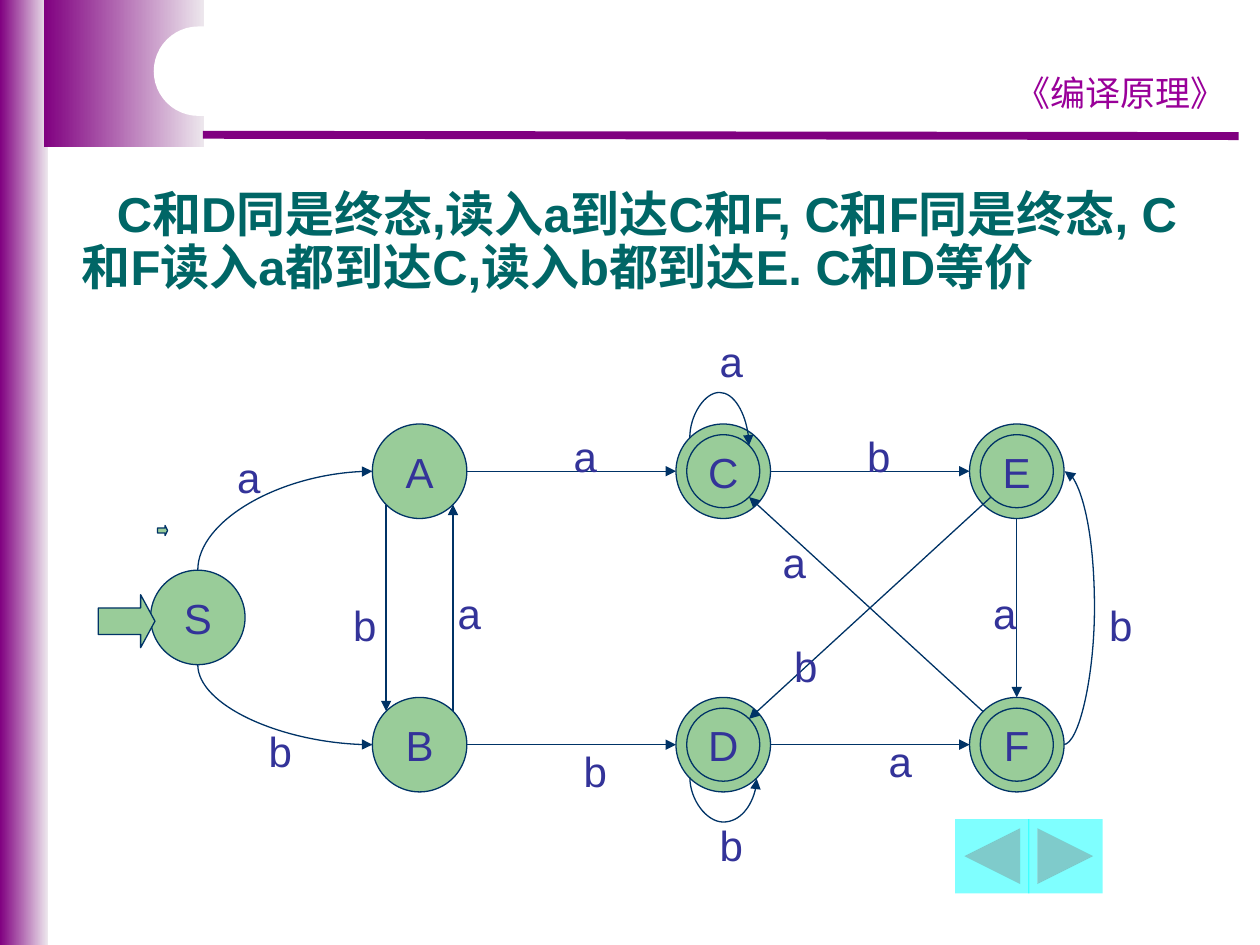
import math
import pptx
import pptx.util
import pptx.dml.color
import pptx.enum.shapes
import pptx.enum.text
import pptx.oxml
import pptx.oxml.ns
from dataclasses import dataclass

Inches, Pt = pptx.util.Inches, pptx.util.Pt
SHAPE = pptx.enum.shapes.MSO_SHAPE
CONNECTOR = pptx.enum.shapes.MSO_CONNECTOR
ALIGN = pptx.enum.text.PP_ALIGN
ANCHOR = pptx.enum.text.MSO_ANCHOR


@dataclass(frozen=True)
class Theme:
    purple: str = "800080"
    pale: str = "EDE7ED"
    white: str = "FFFFFF"
    course: str = "990099"
    title: str = "006666"
    node: str = "99CC99"
    line: str = "003366"
    label: str = "333399"
    button: str = "00FFFF"
    font: str = "Arial"
    course_font: str = "Comic Neue"
    title_size: int = 28
    label_size: int = 24
    course_size: int = 20
    thin: float = 0.75


THEME = Theme()

# Content
COURSE = "《编译原理》"
TITLE = "C和D同是终态,读入a到达C和F, C和F同是终态, C和F读入a都到达C,读入b都到达E. C和D等价"

COLUMNS = (1.57, 3.33, 5.74, 8.07)
ROWS = (3.74, 4.9, 5.91)
OUTER, INNER = 0.75, 0.58
# name: column, row, is final state
NODES = {"S": (0, 1, False), "A": (1, 0, False), "B": (1, 2, False),
         "C": (2, 0, True), "D": (2, 2, True), "E": (3, 0, True), "F": (3, 2, True)}
# Ports: node, compass direction, ring diameter
STRAIGHT_EDGES = [
    (("B", "NE", OUTER), ("A", "SE", OUTER)),
    (("A", "SW", OUTER), ("B", "NW", OUTER)),
    (("A", "E", OUTER), ("C", "W", OUTER)),
    (("B", "E", OUTER), ("D", "W", OUTER)),
    (("D", "E", OUTER), ("F", "W", OUTER)),
    (("C", "E", OUTER), ("E", "W", OUTER)),
    (("E", "S", OUTER), ("F", "N", OUTER)),
    (("F", "NW", INNER), ("C", "SE", INNER)),
    (("E", "SW", INNER), ("D", "NE", INNER)),
]
# start, end, rotation, flip, bulge (0 for a simple quarter curve)
CURVED_EDGES = [
    (("S", "N", OUTER), ("A", "W", OUTER), 270, None, 0),
    (("S", "S", OUTER), ("B", "W", OUTER), 270, "flipH", 0),
    (("F", "E", OUTER), ("E", "E", OUTER), 0, "flipV", 0.25),
    (("C", "NW", OUTER), ("C", "NE", INNER), 90, "flipV", -0.36),
    (("D", "SW", OUTER), ("D", "SE", OUTER), 270, "flipH", 0.36),
]
LABEL_SIZE = (0.39, 0.51)
LABELS = {
    "a": [(5.61, 2.61), (1.78, 3.53), (3.53, 4.61), (4.45, 3.36),
          (7.78, 4.61), (6.95, 5.78), (6.11, 4.2)],
    "b": [(8.7, 4.7), (2.03, 5.7), (2.7, 4.7), (4.53, 5.86),
          (6.78, 3.36), (5.61, 6.45), (6.2, 5.03)],
}
ARROWS = [(1.25, 4.17, 0.08, 0.08, 0.25), (0.78, 4.72, 0.45, 0.42, 0.27)]
BUTTONS = [SHAPE.ACTION_BUTTON_BACK_OR_PREVIOUS, SHAPE.ACTION_BUTTON_FORWARD_OR_NEXT]

presentation = pptx.Presentation()
presentation.slide_width, presentation.slide_height = Inches(10), Inches(7.5)
slide = presentation.slides.add_slide(presentation.slide_layouts[6])


def rgb(value):
    return pptx.dml.color.RGBColor.from_string(value)


def child(parent, tag, **attributes):
    element = pptx.oxml.parse_xml(f"<a:{tag} {pptx.oxml.ns.nsdecls('a')}/>")
    for name, value in attributes.items():
        element.set(name, str(value))
    parent.append(element)


def add_shape(kind, box, fill, outlined=False):
    shape = slide.shapes.add_shape(kind, *map(Inches, box))
    shape.shadow.inherit = False
    if isinstance(fill, tuple):
        shape.fill.gradient()
        shape.fill.gradient_angle = 0
        for stop, color in zip(shape.fill.gradient_stops, fill):
            stop.color.rgb = rgb(color)
    else:
        shape.fill.solid()
        shape.fill.fore_color.rgb = rgb(fill)
    if outlined:
        shape.line.color.rgb = rgb(THEME.line)
        shape.line.width = Pt(THEME.thin)
    else:
        shape.line.fill.background()
    return shape


def write(shape, text, size=THEME.label_size, color=THEME.label, font=THEME.font,
          align=ALIGN.CENTER, anchor=ANCHOR.MIDDLE, wrap=False):
    frame = shape.text_frame
    frame.word_wrap = wrap
    frame.vertical_anchor = anchor
    paragraph = frame.paragraphs[0]
    paragraph.text = text
    paragraph.alignment = align
    paragraph.font.size = Pt(size)
    paragraph.font.name = font
    paragraph.font.color.rgb = rgb(color)
    return paragraph


def add_text(box, text, **style):
    return write(slide.shapes.add_textbox(*map(Inches, box)), text, **style)


def add_line(kind, start, end, color=THEME.line, width=THEME.thin, arrow=True):
    connector = slide.shapes.add_connector(kind, *map(Inches, (*start, *end)))
    connector.line.color.rgb = rgb(color)
    connector.line.width = Pt(width)
    if arrow:
        child(connector.line._get_or_add_ln(), "tailEnd", type="triangle")
    child(connector._element.spPr, "effectLst")
    return connector


def center(name):
    column, row, _ = NODES[name]
    return COLUMNS[column], ROWS[row]


def port(name, direction, diameter):
    x, y = center(name)
    dx = ("E" in direction) - ("W" in direction)
    dy = ("S" in direction) - ("N" in direction)
    reach = diameter / 2 / math.hypot(dx, dy)
    return x + dx * reach, y + dy * reach


def add_curve(start, end, rotation, flip, bulge):
    (x1, y1), (x2, y2) = start, end
    width, height = abs(x2 - x1), abs(y2 - y1)
    if rotation:
        width, height = height, width
    width = max(width, 0.01)
    left, top = (x1 + x2 - width) / 2, (y1 + y2 - height) / 2
    connector = add_line(CONNECTOR.CURVE, (left, top), (left + width, top + height))
    transform = connector._element.spPr.find(pptx.oxml.ns.qn("a:xfrm"))
    transform.set("rot", str(rotation * 60000))
    if flip:
        transform.set(flip, "1")
    geometry = connector._element.spPr.find(pptx.oxml.ns.qn("a:prstGeom"))
    if bulge:
        guides = geometry.get_or_add_avLst()
        child(guides, "gd", name="adj1", fmla=f"val {round(bulge / width * 100000)}")
    else:
        geometry.set("prst", "curvedConnector2")


def add_node(name):
    x, y = center(name)
    for diameter in (OUTER, INNER) if NODES[name][2] else (OUTER,):
        box = (x - diameter / 2, y - diameter / 2, diameter, diameter)
        ring = add_shape(SHAPE.OVAL, box, THEME.node, outlined=True)
    write(ring, name)


# Frame and course name
for box in [(0, 0, 0.38, 7.5), (0.35, 0, 1.27, 1.17)]:
    add_shape(SHAPE.RECTANGLE, box, (THEME.purple, THEME.pale))
add_line(CONNECTOR.STRAIGHT, (1.61, 1.07), (9.83, 1.08), THEME.purple, 4.5, arrow=False)
notch = add_shape(SHAPE.ROUNDED_RECTANGLE, (1.22, 0.21, 3.62, 0.71), THEME.white)
notch.adjustments[0] = 0.5
add_text((7.91, 0.52, 1.97, 0.43), COURSE, size=THEME.course_size,
         color=THEME.course, font=THEME.course_font, wrap=True)

# Title
title = add_text((0.55, 1.46, 9, 1.25), TITLE, size=THEME.title_size, color=THEME.title,
                 align=ALIGN.LEFT, anchor=ANCHOR.TOP, wrap=True)
title.font.bold = True
title.line_spacing = 0.9
title._p.get_or_add_pPr().set("indent", str(Inches(0.28)))

# Navigation buttons
for index, kind in enumerate(BUTTONS):
    button = add_shape(kind, (7.58 + index * 0.58, 6.5, 0.59, 0.59), THEME.button)
    color = button._element.spPr.find(".//" + pptx.oxml.ns.qn("a:srgbClr"))
    child(color, "alpha", val=50000)

# State diagram: F covers the start of its diagonal edge
for name in "SABCDE":
    add_node(name)
for start, end in STRAIGHT_EDGES:
    add_line(CONNECTOR.STRAIGHT, port(*start), port(*end))
for start, end, *bend in CURVED_EDGES:
    add_curve(port(*start), port(*end), *bend)
for letter, places in LABELS.items():
    for place in places:
        add_text((*place, *LABEL_SIZE), letter)
for *box, head in ARROWS:
    arrow = add_shape(SHAPE.RIGHT_ARROW, box, THEME.node, outlined=True)
    arrow.adjustments[1] = head
add_node("F")

presentation.save("out.pptx")
